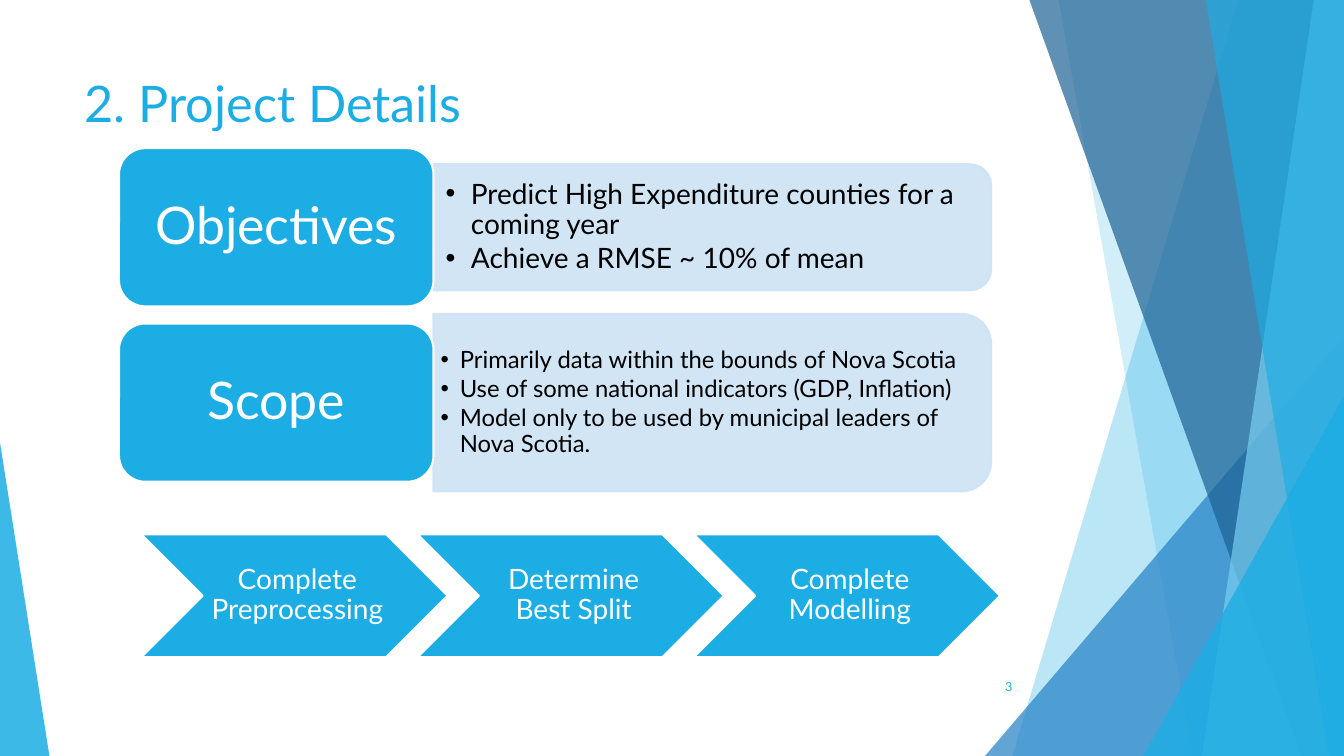
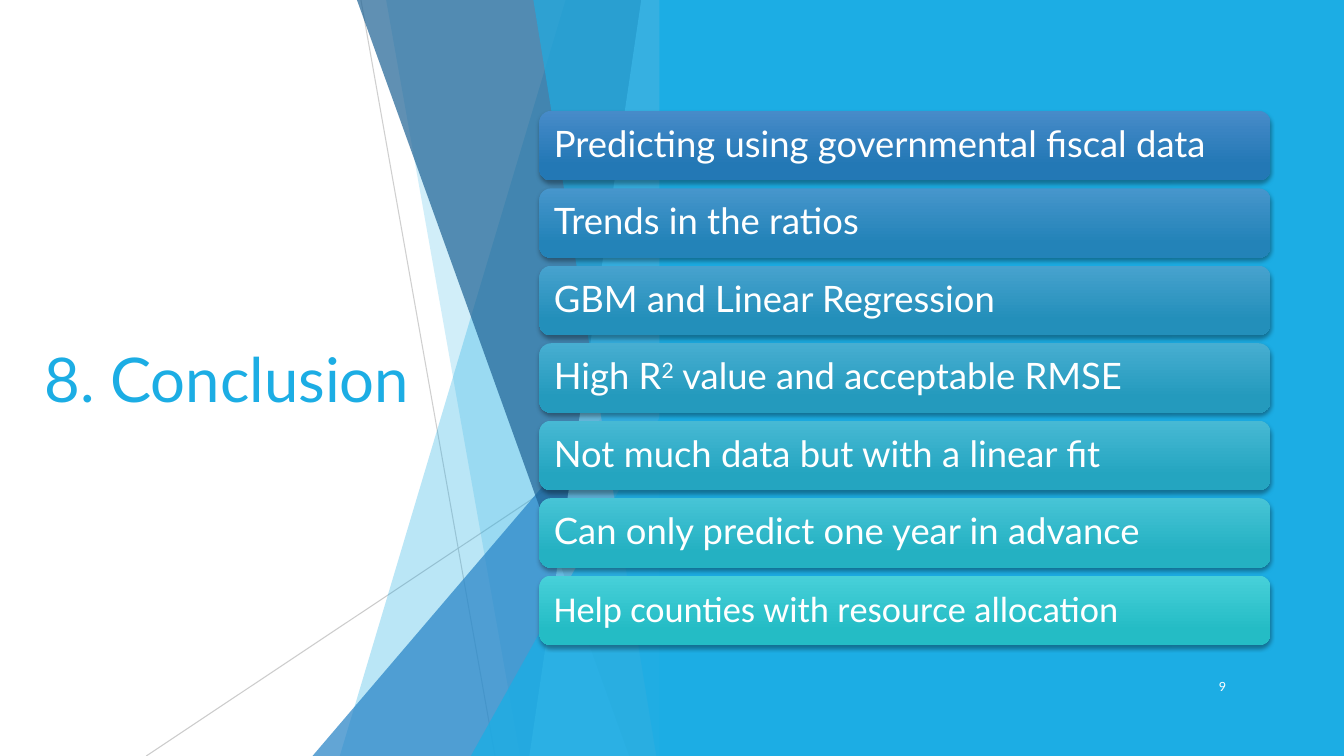
"""Build the project details and conclusion slides."""
from dataclasses import dataclass

from lxml import etree
from pptx import Presentation
from pptx.dml.color import RGBColor
from pptx.enum.shapes import MSO_CONNECTOR, MSO_SHAPE
from pptx.enum.text import MSO_ANCHOR, MSO_AUTO_SIZE, PP_ALIGN
from pptx.oxml.ns import qn
from pptx.util import Inches, Pt

TRIANGLE, RECT = MSO_SHAPE.ISOSCELES_TRIANGLE, MSO_SHAPE.RECTANGLE
ROUND, TAB = MSO_SHAPE.ROUNDED_RECTANGLE, MSO_SHAPE.ROUND_2_SAME_RECTANGLE
CHEVRON, STRAIGHT = MSO_SHAPE.CHEVRON, MSO_CONNECTOR.STRAIGHT
TOP, MIDDLE = MSO_ANCHOR.TOP, MSO_ANCHOR.MIDDLE
LEFT, CENTER, RIGHT = PP_ALIGN.LEFT, PP_ALIGN.CENTER, PP_ALIGN.RIGHT
NO_FIT = MSO_AUTO_SIZE.NONE
WIDE, HIGH = 13.33, 7.5


@dataclass(frozen=True)
class Theme:
    """Hold the colours, fonts and type sizes of the deck."""
    font: str = "Lato"
    other: str = "Calibri"
    blue: str = "1CADE4"
    royal: str = "2683C6"
    navy: str = "1D6294"
    sky: str = "77CEEF"
    pale: str = "CDE3F5"
    grey: str = "BFBFBF"
    white: str = "FFFFFF"
    black: str = "000000"
    light: tuple = ("478BC9", "47D0D9")
    dark: tuple = ("2378B5", "24BCC5")
    title: int = 36
    hero: int = 44
    label: int = 37
    bar: int = 26
    step: int = 20
    page: int = 9


THEME = Theme()

SHARDS = [
    ("band", 2.51, 0.27, THEME.blue, 30),
    ("band", 0.73, 2.06, THEME.blue, 20),
    ("peak", 3.56, 4.17, THEME.royal, 72),
    ("band", 0.44, 3.14, THEME.navy, 70),
    ("band", 3.26, 2.15, THEME.sky, 70),
    ("band", 2.19, 3.41, THEME.blue, 65),
    ("peak", 1.99, 3.57, THEME.blue, 80),
]

CARDS = [
    (1.47, 1.25, 20, 0.12, 0.25, "Objectives",
     ["Predict High Expenditure counties for a coming year",
      "Achieve a RMSE ~ 10% of mean"]),
    (3.21, 1.76, 17, 0.07, 0.19, "Scope",
     ["Primarily data within the bounds of Nova Scotia",
      "Use of some national indicators (GDP, Inflation)",
      "Model only to be used by municipal leaders of Nova Scotia."]),
]

STEPS = ["Complete Preprocessing", "Determine Best Split", "Complete Modelling"]

POINTS = [
    (["Predicting using governmental fiscal data"], THEME.font),
    (["Trends in the ratios"], THEME.font),
    (["GBM and Linear Regression"], THEME.font),
    (["High R", "2", " value and acceptable RMSE"], THEME.font),
    (["Not much data but with a linear fit"], THEME.font),
    (["Can only predict one year in advance"], THEME.font),
    (["Help counties with resource allocation"], THEME.other),
]


def rgb(tone):
    """Turn a hex string into a colour."""
    return RGBColor.from_string(tone)


def blend(ends, part):
    """Return the hex colour a given part of the way between two ends."""
    pairs = zip(rgb(ends[0]), rgb(ends[1]))
    return str(RGBColor(*(round(a + (b - a) * part) for a, b in pairs)))


def fade(item, share):
    """Set the opacity, in percent, of the colours of a shape."""
    for tone in item._element.spPr.iter(qn("a:srgbClr")):
        etree.SubElement(tone, qn("a:alpha")).set("val", str(share * 1000))


def paint(item, tone, edge=None):
    """Give a shape a flat fill, an optional edge and no shadow."""
    item.shadow.inherit = False
    item.fill.solid()
    item.fill.fore_color.rgb = rgb(tone)
    if edge:
        item.line.color.rgb = rgb(edge)
        item.line.width = Pt(1.5)
    else:
        item.line.fill.background()
    return item


def place(item, box):
    """Move a placeholder to a box."""
    item.left, item.top, item.width, item.height = map(Inches, box)


def draw(slide, kind, box, tone, edge=None):
    """Add a painted preset shape."""
    return paint(slide.shapes.add_shape(kind, *map(Inches, box)), tone, edge)


def setup(item, pads, anchor=MIDDLE):
    """Set the insets and anchor of a text frame and return it."""
    frame = item.text_frame
    frame.word_wrap = True
    frame.auto_size = NO_FIT
    frame.vertical_anchor = anchor
    (frame.margin_left, frame.margin_top,
     frame.margin_right, frame.margin_bottom) = map(Inches, pads)
    return frame


def write(para, runs, size, tone, align=LEFT, font=THEME.font):
    """Add runs to a paragraph, raising every second one."""
    para.alignment = align
    for i, text in enumerate(runs):
        run = para.add_run()
        run.text = text
        run.font.size = Pt(size)
        run.font.name = font
        run.font.color.rgb = rgb(tone)
        if i % 2:
            run._r.get_or_add_rPr().set("baseline", "30000")


def label(item, runs, size, pads, align=CENTER, font=THEME.font):
    """Write tight white text inside a shape."""
    para = setup(item, pads).paragraphs[0]
    para.line_spacing = 0.9
    write(para, runs, size, THEME.white, align, font)


def head(slide, text, box, size, anchor):
    """Fill the title placeholder."""
    title = slide.shapes.title
    place(title, box)
    frame = setup(title, (0.1, 0.05, 0.1, 0.05), anchor)
    write(frame.paragraphs[0], [text], size, THEME.blue)


def number(slide, left, text, tone):
    """Add the page number."""
    box = slide.shapes.add_textbox(*map(Inches, (left, 6.61, 0.75, 0.4)))
    frame = setup(box, (0.1, 0.05, 0.1, 0.05))
    write(frame.paragraphs[0], [text], THEME.page, tone, RIGHT)


def shards(slide, left):
    """Draw the glassy band of shards from a left edge."""
    edge = left + 3.56
    for kind, first, second, tone, share in SHARDS:
        if kind == "peak":
            box = (edge - first, HIGH - second, first, second)
            item = draw(slide, TRIANGLE, box, tone)
            item.adjustments[0] = 1
        else:
            spots = [(left + first, 0), (edge, 0), (edge, HIGH),
                     (left + second, HIGH)]
            spots = [(Inches(x), Inches(y)) for x, y in spots]
            pen = slide.shapes.build_freeform(*spots[0])
            pen.add_line_segments(spots[1:], close=True)
            item = paint(pen.convert_to_shape(), tone)
        fade(item, share)


def thread(slide, start, end, share):
    """Draw a thin see-through line."""
    line = slide.shapes.add_connector(STRAIGHT, *map(Inches, start + end))
    line.line.color.rgb = rgb(THEME.grey)
    line.line.width = Pt(0.75)
    etree.SubElement(line._element.spPr, qn("a:effectLst"))
    fade(line, share)


def bullets(body, box, lines, size, pad, indent):
    """Fill a body placeholder with a bulleted list."""
    place(body, box)
    frame = setup(body, (pad, pad / 2, pad, pad / 2))
    for i, text in enumerate(lines):
        para = frame.add_paragraph() if i else frame.paragraphs[0]
        para.line_spacing = 0.9
        para.space_before = Pt(0)
        para.space_after = Pt(round(size * 0.15, 1))
        write(para, [text], size, THEME.black)
        props = para._p.get_or_add_pPr()
        props.set("marL", str(Inches(indent)))
        props.set("indent", str(-Inches(indent)))
        etree.SubElement(props, qn("a:buChar")).set("char", "•")


def card(slide, body, left, data):
    """Draw a labelled block with a list on a pale tab."""
    top, deep, size, pad, indent, name, lines = data
    wide, tall, long = 3.12, 1.57, 5.53
    side, mid = left + wide, top + tall / 2
    box = (side + (long - deep) / 2, mid - long / 2, deep, long)
    tab = draw(slide, TAB, box, THEME.pale, THEME.pale)
    tab.rotation = 90
    fade(tab, 90)
    slide.shapes._spTree.append(body._element)
    box = (side, mid - deep / 2 + 0.07, long - 0.06, deep - 0.14)
    bullets(body, box, lines, size, pad, indent)
    block = draw(slide, ROUND, (left, top, wide, tall), THEME.blue, THEME.white)
    label(block, [name], THEME.label, (0.15, 0.08, 0.15, 0.08))


def steps(slide, left, top):
    """Draw the row of chevrons."""
    for i, text in enumerate(STEPS):
        box = (left + i * 2.74, top, 3.04, 1.22)
        item = draw(slide, CHEVRON, box, THEME.blue, THEME.white)
        label(item, [text], THEME.step, (0.06, 0.03, 0, 0.03))


def bars(slide, left, top, wide, tall):
    """Stack the gradient bars evenly in a box."""
    deep, last = 0.69, len(POINTS) - 1
    pitch = (tall - deep) / last
    for i, (runs, font) in enumerate(POINTS):
        box = (left, top + i * pitch, wide, deep)
        bar = draw(slide, ROUND, box, THEME.blue)
        bar.fill.gradient()
        bar.fill.gradient_angle = 270
        tones = (THEME.light, 0), (THEME.dark, 0.78)
        for stop, (ends, spot) in zip(bar.fill.gradient_stops, tones):
            stop.color.rgb = rgb(blend(ends, i / last))
            stop.position = spot
        glow = etree.SubElement(
            bar._element.spPr.find(qn("a:effectLst")), qn("a:outerShdw"),
            blurRad=str(Pt(3)), dist=str(Pt(2)), dir="5400000", rotWithShape="0")
        shade = etree.SubElement(glow, qn("a:srgbClr"), val=THEME.black)
        etree.SubElement(shade, qn("a:alpha"), val="35000")
        label(bar, runs, THEME.bar, (0.11, 0.11, 0.11, 0.11), LEFT, font)


def details(deck):
    """Build the project details slide."""
    slide = deck.slides.add_slide(deck.slide_layouts[3])
    shards(slide, 9.77)
    wedge = draw(slide, TRIANGLE, (0, 4.39, 0.49, 3.11), THEME.blue)
    wedge.adjustments[0] = 0
    fade(wedge, 85)
    head(slide, "2. Project Details", (0.74, 0.67, 9.4, 0.76), THEME.title, TOP)
    number(slide, 9.39, "3", THEME.blue)
    bodies = [slide.placeholders[1], slide.placeholders[2]]
    for body, data in zip(bodies, CARDS):
        card(slide, body, 1.18, data)
    steps(slide, 1.4, 5.3)


def closing(deck):
    """Build the conclusion slide."""
    slide = deck.slides.add_slide(deck.slide_layouts[5])
    head(slide, "8. Conclusion", (0.34, 1.51, 3.88, 4.48), THEME.hero, MIDDLE)
    thread(slide, (3.58, 0), (4.91, HIGH), 75)
    thread(slide, (6.66, 4.03), (1.45, HIGH), 80)
    shards(slide, 3.1)
    draw(slide, RECT, (6.54, 0, WIDE - 6.54, HIGH), THEME.blue)
    number(slide, 11.51, "9", THEME.white)
    bars(slide, 5.35, 1.1, 7.25, 5.3)


def main():
    """Build and save the deck."""
    deck = Presentation()
    deck.slide_width, deck.slide_height = Inches(WIDE), Inches(HIGH)
    details(deck)
    closing(deck)
    deck.save("out.pptx")


if __name__ == "__main__":
    main()
